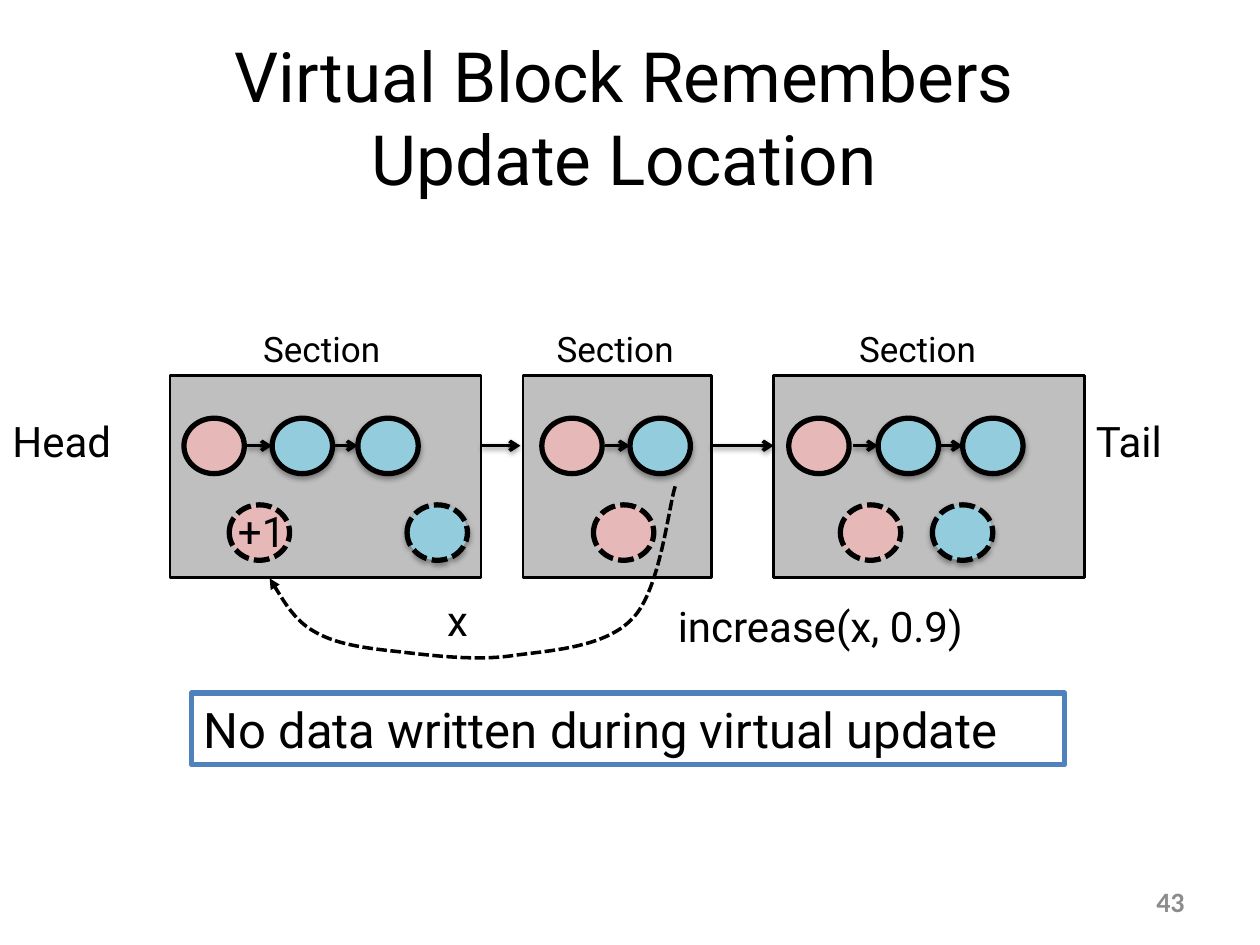
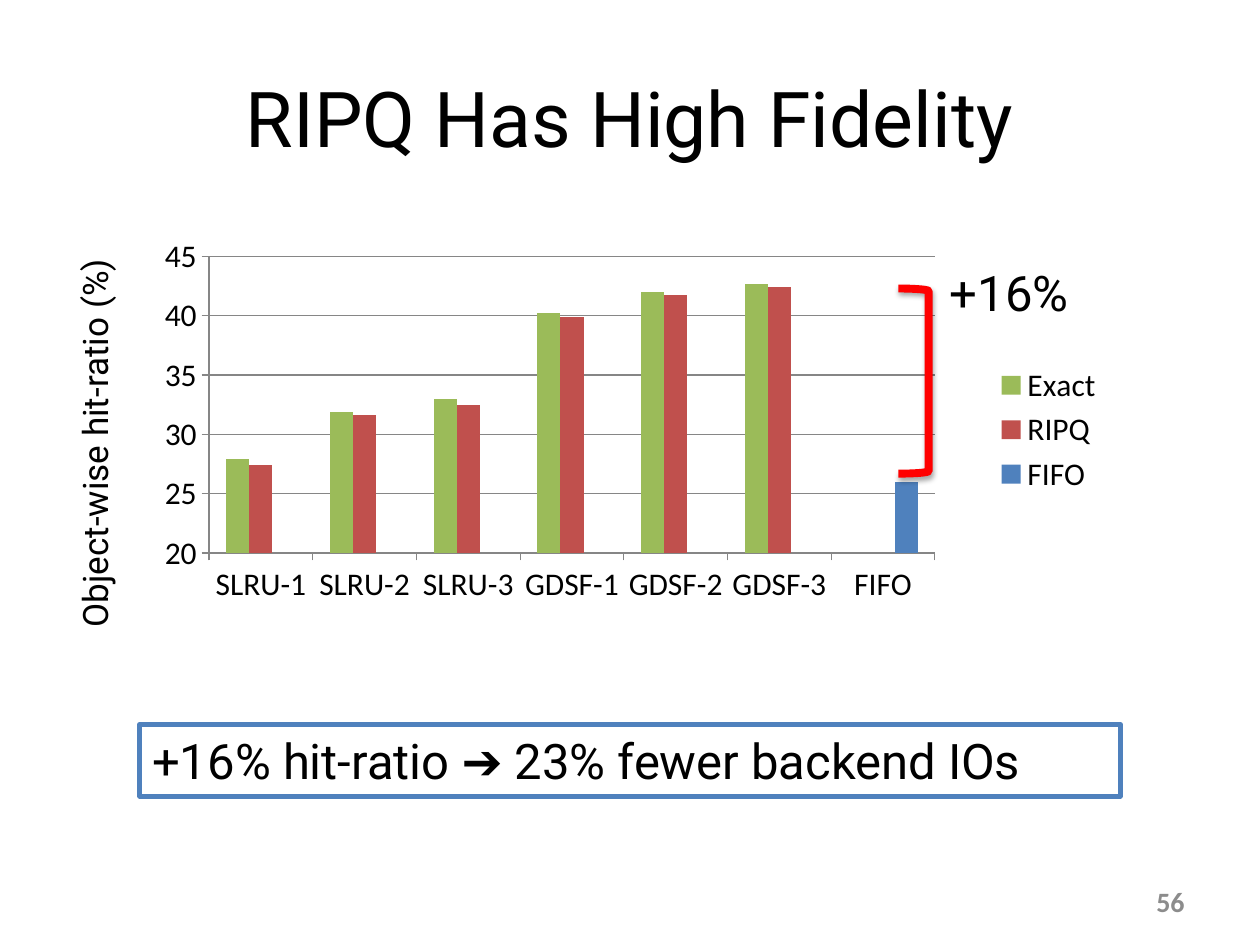
"""Builds two slides on virtual blocks and the fidelity of RIPQ."""
from copy import deepcopy

from lxml import etree
from pptx import Presentation
from pptx import util as u
from pptx.chart.data import CategoryChartData
from pptx.dml.color import RGBColor
from pptx.enum import chart as charts, dml, shapes, text
from pptx.oxml import parse_xml
from pptx.oxml.ns import nsdecls, qn

Pt = u.Pt
BLACK = RGBColor(0x00, 0x00, 0x00)
WHITE = RGBColor(0xFF, 0xFF, 0xFF)
PAGE_GREY = RGBColor(0x8C, 0x8C, 0x8C)
GRID_GREY = RGBColor(0x86, 0x86, 0x86)
SECTION_GREY = RGBColor(0xBF, 0xBF, 0xBF)
PINK = RGBColor(0xE6, 0xB9, 0xB8)
AQUA = RGBColor(0x93, 0xCD, 0xDD)
BLUE = RGBColor(0x4F, 0x81, 0xBD)
GREEN = RGBColor(0x9B, 0xBB, 0x59)
BRICK = RGBColor(0xC0, 0x50, 0x4D)
RED = RGBColor(0xFF, 0x00, 0x00)
DASH = dml.MSO_LINE.DASH
SHORT_DASH = dml.MSO_LINE.SQUARE_DOT


def write(slide, words, at, size=24, font="Roboto", colour=BLACK, bold=False, box=None,
          align=text.PP_ALIGN.LEFT, anchor=text.MSO_ANCHOR.TOP, wrap=True):
    if box is None:
        box = slide.shapes.add_textbox(0, 0, 0, 0)
    box.left, box.top, box.width, box.height = map(Pt, at)
    frame = box.text_frame
    frame.word_wrap = wrap
    frame.vertical_anchor = anchor
    paragraph = frame.paragraphs[0]
    paragraph.text = words
    paragraph.alignment = align
    for run in paragraph.runs:
        run.font.size = Pt(size)
        run.font.name = font
        run.font.bold = bold
        run.font.color.rgb = colour
    for line_break in paragraph._p.findall(qn("a:br")):
        line_break.append(deepcopy(paragraph.runs[0]._r.rPr))
    return box


def stroke(item, colour=BLACK, width=2, dash=None, arrow=None, shade=0, distance=1.8):
    item.line.color.rgb = colour
    item.line.width = Pt(width)
    if dash:
        item.line.dash_style = dash
    properties = item._element.spPr
    if arrow:
        etree.SubElement(properties.find(qn("a:ln")), qn("a:tailEnd"), type=arrow)
    effects = etree.SubElement(properties, qn("a:effectLst"))
    if shade:
        effects.append(parse_xml(
            f'<a:outerShdw {nsdecls("a")} blurRad="{Pt(3.1)}" dist="{Pt(distance)}" '
            f'dir="5400000" rotWithShape="0"><a:srgbClr val="000000">'
            f'<a:alpha val="{shade * 1000}"/></a:srgbClr></a:outerShdw>'))


deck = Presentation()
deck.slide_width, deck.slide_height = Pt(720), Pt(540)

pages = []
for heading, title_at, title_size, number, takeaway, takeaway_at in (
    ("Virtual Block Remembers\vUpdate Location", (18, 21.6, 677.5, 90), 39.6, "43",
     "No data written during virtual update", (109.4, 396, 499, 41)),
    ("RIPQ Has High Fidelity", (36, 21.6, 648, 90), 44, "56",
     "+16% hit-ratio \u2794 23% fewer backend IOs".replace("\u2794", "➔"),
     (79.9, 414, 560.2, 41)),
):
    page = deck.slides.add_slide(deck.slide_layouts[5])
    write(page, heading, title_at, title_size, box=page.shapes.title,
          align=text.PP_ALIGN.CENTER, anchor=text.MSO_ANCHOR.MIDDLE)
    write(page, number, (516, 500.5, 168, 28.75), 16, "Calibri", PAGE_GREY, bold=True,
          align=text.PP_ALIGN.RIGHT, anchor=text.MSO_ANCHOR.MIDDLE)
    callout = write(page, takeaway, takeaway_at, 28)
    callout.fill.solid()
    callout.fill.fore_color.rgb = WHITE
    stroke(callout, BLUE, 3)
    pages.append(page)
queue, fidelity = pages

arrow_run = callout.text_frame.paragraphs[0].runs[0]
before, after = arrow_run.text.split("➔")
arrow_run.text = before
for part, font in (("➔", "Arial"), (after, "Roboto")):
    run = callout.text_frame.paragraphs[0].add_run()
    run._r.insert(0, deepcopy(arrow_run._r.rPr))
    run.text = part
    run.font.name = font

SECTION_TOP, SECTION_HEIGHT = 214.5, 115.5
NODE_TOP, VIRTUAL_TOP, NODE_WIDTH, NODE_HEIGHT = 239, 288.5, 34.5, 31.7
ARROW_Y, NODE_ARROW = 254.7, 14.4

for left, width, label_left, first_dash, nodes, virtual_nodes in (
    (97.2, 177.8, 143.3, None, (105.1, 155.5, 204.5), ((131, PINK), (232.6, AQUA))),
    (298.8, 108, 311, DASH, (309.6, 360), ((339.1, PINK),)),
    (442.1, 177.8, 483.8, DASH, (450.7, 501.8, 550.1), ((480.2, PINK), (532.8, AQUA))),
):
    section = queue.shapes.add_shape(shapes.MSO_SHAPE.RECTANGLE, Pt(left), Pt(SECTION_TOP),
                                     Pt(width), Pt(SECTION_HEIGHT))
    section.fill.solid()
    section.fill.fore_color.rgb = SECTION_GREY
    stroke(section, width=1.5)
    write(queue, "Section", (label_left, 183.6, 95, 31.5), 20)

    for position, node_left in enumerate(nodes[1:]):
        link = queue.shapes.add_connector(
            shapes.MSO_CONNECTOR.STRAIGHT, Pt(node_left - NODE_ARROW), Pt(ARROW_Y),
            Pt(node_left), Pt(ARROW_Y))
        stroke(link, dash=None if position else first_dash, arrow="arrow",
               shade=38, distance=1.6)

    physical = [(x, NODE_TOP, AQUA if i else PINK, None) for i, x in enumerate(nodes)]
    virtual = [(x, VIRTUAL_TOP, colour, SHORT_DASH) for x, colour in virtual_nodes]
    for x, y, colour, dash in physical + virtual:
        node = queue.shapes.add_shape(shapes.MSO_SHAPE.OVAL, Pt(x), Pt(y),
                                      Pt(NODE_WIDTH), Pt(NODE_HEIGHT))
        node.fill.solid()
        node.fill.fore_color.rgb = colour
        stroke(node, width=3, dash=dash, shade=35 if colour == AQUA else 0)

for start, end in ((275, 297.4), (406.8, 442.1)):
    link = queue.shapes.add_connector(shapes.MSO_CONNECTOR.STRAIGHT, Pt(start), Pt(ARROW_Y),
                                      Pt(end), Pt(ARROW_Y))
    stroke(link, arrow="arrow", shade=38, distance=1.6)

curve = [(385.9, 277.9), (382.3, 288), (377.3, 337.7), (361.4, 353.5),
         (346.3, 369.4), (317.5, 371.5), (294.5, 374.4),
         (272.2, 378), (245.5, 374.4), (226.1, 372.2),
         (206.6, 370.1), (191.5, 367.9), (179.3, 360.7),
         (167.8, 354.2), (154.1, 330.5), (154.1, 330.5)]
points = [(Pt(x), Pt(y)) for x, y in curve]
outline = queue.shapes.build_freeform(*points[0])
outline.add_line_segments(points[1:], close=False)
update = outline.convert_to_shape()
trace = update._element.spPr.find(".//" + qn("a:path"))
segments = trace.findall(qn("a:lnTo"))
for first in range(0, len(segments), 3):
    bend = etree.SubElement(trace, qn("a:cubicBezTo"))
    for segment in segments[first:first + 3]:
        bend.append(segment[0])
        trace.remove(segment)
update.fill.background()
stroke(update, dash=SHORT_DASH, arrow="triangle")

for label, at in (
    ("Head", (0, 234, 80, 36)),
    ("Tail", (619.2, 234, 52.6, 36)),
    ("increase(x, 0.9)", (380.2, 339.8, 200.2, 36)),
    ("x", (248.4, 336.2, 27.4, 36)),
    ("+1", (128.9, 285.1, 42.5, 36)),
):
    write(queue, label, at, wrap=label != "+1")

axis_label = write(fidelity, "Object-wise hit-ratio (%)", (38.2, 131, 38.9, 234.7), 20,
                   wrap=False)
axis_label.text_frame._txBody.bodyPr.set("vert", "vert270")

ratios = CategoryChartData()
ratios.categories = ["SLRU-1", "SLRU-2", "SLRU-3", "GDSF-1", "GDSF-2", "GDSF-3", "FIFO"]
ratios.add_series("Exact", (27.9, 31.9, 33, 40.2, 42, 42.7, None))
ratios.add_series("RIPQ", (27.4, 31.6, 32.5, 39.9, 41.7, 42.4, None))
ratios.add_series("FIFO", (None,) * 6 + (26,))
hit_ratio = fidelity.shapes.add_chart(charts.XL_CHART_TYPE.COLUMN_CLUSTERED, Pt(61.9),
                                      Pt(135.4), Pt(576), Pt(220.3), ratios).chart
hit_ratio.has_title = False
hit_ratio.font.size = Pt(18)
hit_ratio.font.name = "Calibri"
hit_ratio.font.color.rgb = BLACK
hit_ratio.has_legend = True
hit_ratio.legend.position = charts.XL_LEGEND_POSITION.RIGHT
hit_ratio.legend.include_in_layout = False

bars = hit_ratio.plots[0]
bars.gap_width = 150
bars.overlap = 0
bars.vary_by_categories = False
for series, colour in zip(bars.series, (GREEN, BRICK, BLUE)):
    series.format.fill.solid()
    series.format.fill.fore_color.rgb = colour

values = hit_ratio.value_axis
values.minimum_scale, values.maximum_scale, values.major_unit = 20, 45, 5
values.tick_labels.number_format = "0"
values.tick_labels.number_format_is_linked = False
values.has_major_gridlines = True
values.major_gridlines.format.line.color.rgb = GRID_GREY
for axis in (values, hit_ratio.category_axis):
    axis.major_tick_mark = charts.XL_TICK_MARK.OUTSIDE
    axis.format.line.color.rgb = GRID_GREY

plot_area = hit_ratio._chartSpace.find(".//" + qn("c:plotArea"))
for unset in plot_area.findall(qn("c:layout")):
    plot_area.remove(unset)
layout = etree.Element(qn("c:layout"))
manual = etree.SubElement(layout, qn("c:manualLayout"))
for tag, value in (("layoutTarget", "inner"), ("xMode", "edge"), ("yMode", "edge"),
                   ("x", "0.1"), ("y", "0.05"), ("w", "0.72"), ("h", "0.77")):
    etree.SubElement(manual, qn("c:" + tag), val=value)
plot_area.insert(0, layout)

gain = fidelity.shapes.add_shape(shapes.MSO_SHAPE.RIGHT_BRACKET, Pt(513.4), Pt(164.9),
                                 Pt(17.3), Pt(105.8))
gain.fill.background()
stroke(gain, RED, 4.5, shade=35)
write(fidelity, "+16%", (535.7, 146.2, 91.4, 41), 28, wrap=False)

deck.save("out.pptx")
